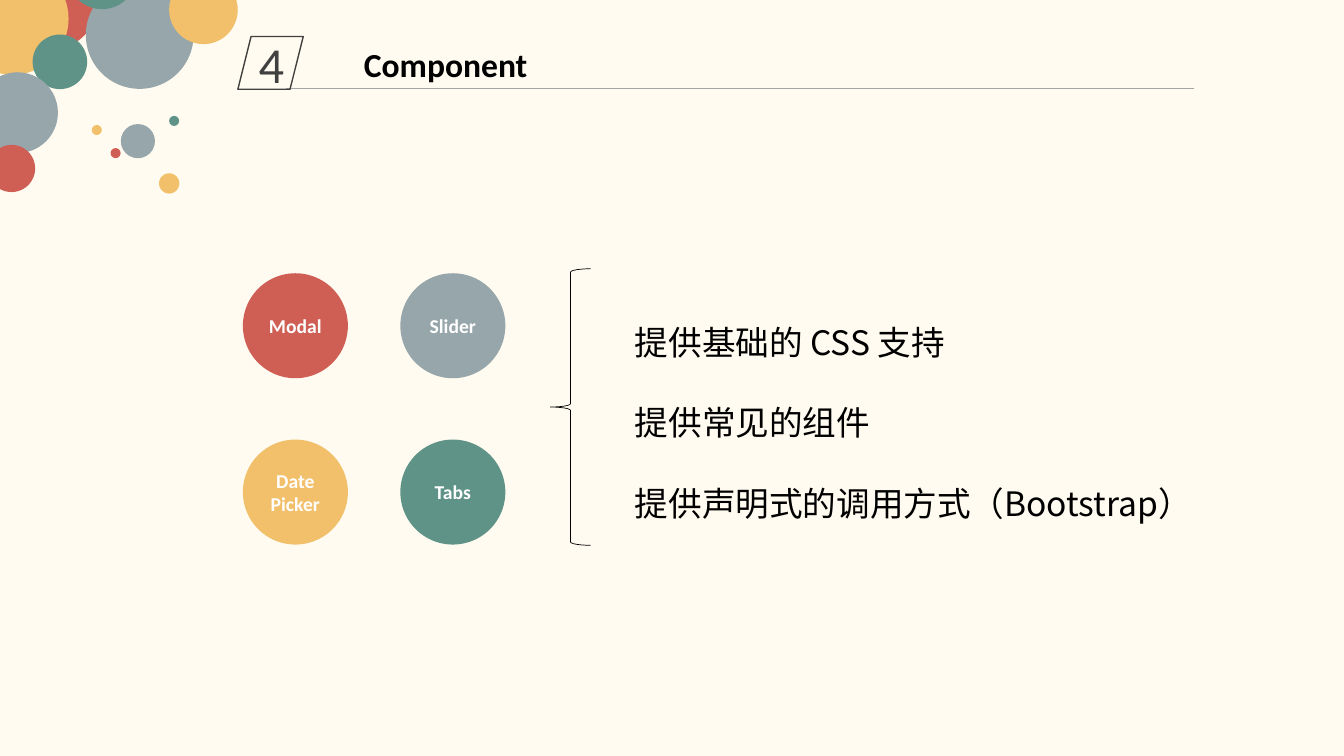
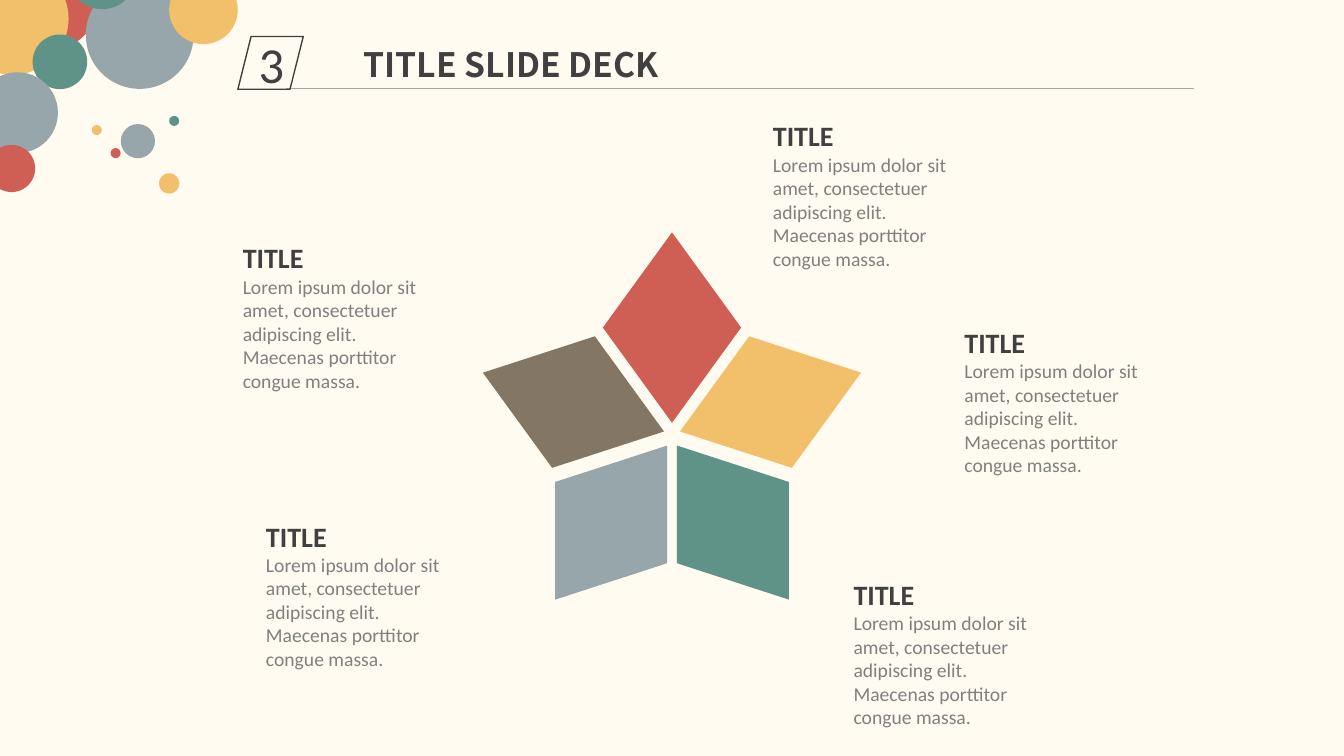
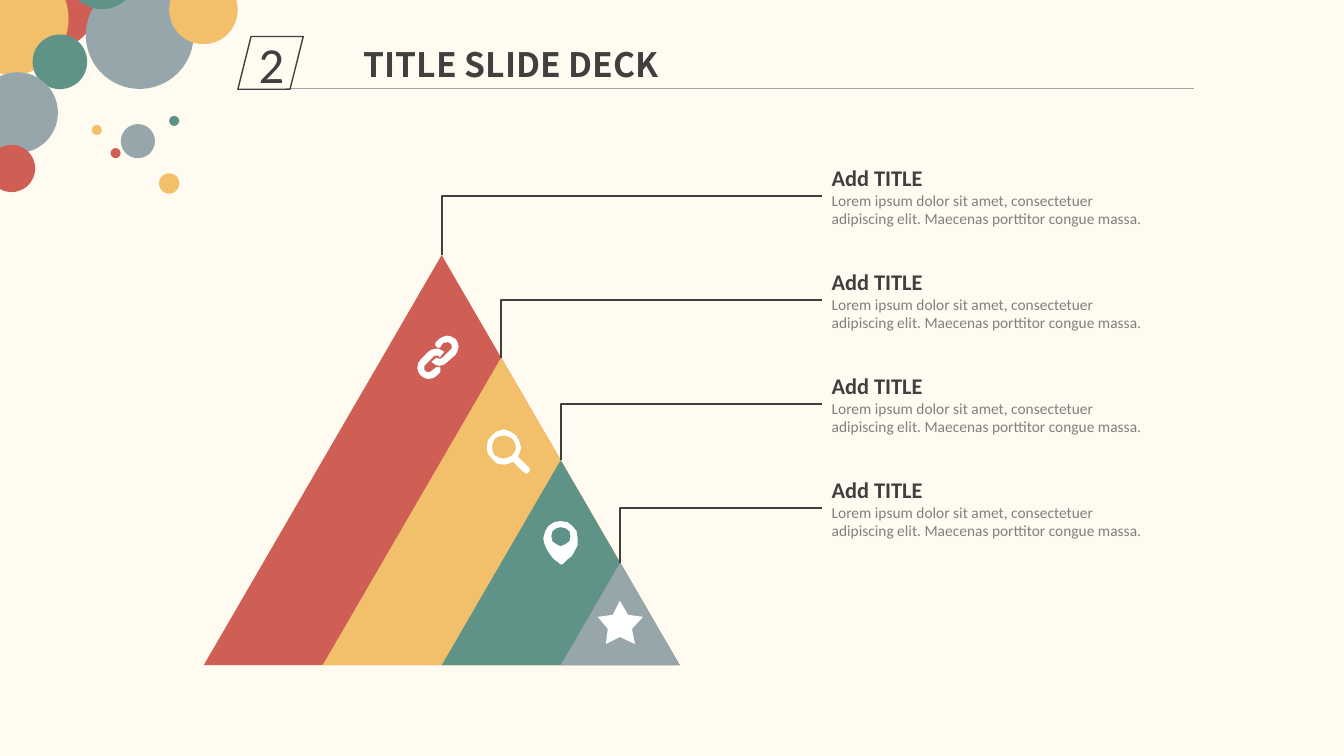
import dataclasses
import math
import typing

import lxml.etree
import pptx
import pptx.dml.color
import pptx.enum.shapes
import pptx.enum.text
import pptx.oxml.ns
import pptx.util

Pt = pptx.util.Pt
KIND = pptx.enum.shapes.MSO_SHAPE
LINK = pptx.enum.shapes.MSO_CONNECTOR
ALIGN = pptx.enum.text.PP_ALIGN
ANCHOR = pptx.enum.text.MSO_ANCHOR
FIT = pptx.enum.text.MSO_AUTO_SIZE

RED, GOLD, GREEN, GRAY, BROWN = "CF5F55", "F2C06B", "5F9387", "97A6AB", "837664"
CREAM, WHITE, BLACK, DARK, MID, PALE = "FFFBF0", "FFFFFF", "000000", "404040", "808080", "A6A6A6"
SANS, HAN = "Calibri", "Noto Sans CJK SC"
LOREM = "Lorem ipsum dolor sit amet, consectetuer adipiscing elit. Maecenas porttitor congue massa."


@dataclasses.dataclass
class Style:
    """Character format of a paragraph."""
    size: float
    color: str = DARK
    bold: bool = False
    name: str = SANS


@dataclasses.dataclass
class Spot:
    """Circle with its corner, width, colour and label lines."""
    x: float
    y: float
    wide: float
    color: str
    lines: tuple[str, ...] = ()


@dataclasses.dataclass
class Note:
    """Heading and body text in a box."""
    x: float
    y: float
    wide: float
    high: float
    head: str
    sizes: tuple[float, float]


SPOTS = (
    Spot(2.9, -31.7, 67, RED), Spot(-31, -26.6, 80, GOLD),
    Spot(23.3, 24.7, 39, GREEN), Spot(-16.4, 51.6, 57.8, GRAY),
    Spot(61.3, -13.5, 77, GRAY), Spot(48.4, -42.4, 49, GREEN),
    Spot(-8.6, 103.5, 33.7, RED), Spot(86.3, 88.6, 24.4, GRAY),
    Spot(79, 105.8, 7.2, RED), Spot(65.6, 89.3, 7.2, GOLD),
    Spot(120.8, 82.8, 7.2, GREEN), Spot(113.6, 123.8, 14.5, GOLD),
    Spot(120.8, -17.5, 49, GOLD),
)

LENS = (
    "500,432 495,433 491,435 489,439 488,444 489,448 491,452 495,454 500,455 504,454 508,452 "
    "511,448 512,444 511,439 508,435 504,433",
    "500,426 506,428 512,432 515,437 517,444 516,448 514,453 525,464 526,466 525,468 524,469 "
    "522,470 521,469 519,468 509,458 505,460 500,461 493,460 488,455 484,450 483,444 484,437 "
    "488,432 493,428",
)
CHAIN = (
    "433,346 435,346 437,347 439,348 440,349 441,349 436,355 436,354 435,353 434,353 431,353 "
    "430,354 422,362 421,363 421,367 422,368 423,369 427,369 428,368 432,365 433,364 435,364 "
    "437,365 437,369 433,373 430,375 425,376 421,375 418,373 417,372 415,369 414,365 415,360 "
    "417,357 425,349 428,347",
    "444,333 448,334 451,336 452,336 454,340 455,344 454,348 452,352 444,359 440,362 436,363 "
    "432,362 428,359 433,355 434,355 435,356 437,356 438,355 439,355 447,347 448,346 448,342 "
    "447,341 446,340 445,340 444,339 443,340 440,340 437,344 437,345 434,345 433,344 432,343 "
    "432,340 433,339 436,336 440,334",
)
PIN = (
    "556,523 552,524 548,527 547,532 548,537 552,540 556,542 561,540 565,537 566,532 565,527 "
    "561,524",
    "556,517 563,518 568,522 572,527 573,534 573,541 570,547 567,552 563,555 560,558 558,560 "
    "556,560 554,558 551,556 548,553 545,549 542,544 540,539 539,534 541,527 544,522 550,518",
)
STAR = ("615,596 623,610 638,612 627,624 630,639 615,632 601,639 603,624 593,612 608,610",)


def hue(code: str) -> pptx.dml.color.RGBColor:
    """Turn a hex string into a colour."""
    return pptx.dml.color.RGBColor.from_string(code)


def put(thing: typing.Any, form: dict[str, typing.Any]) -> None:
    """Set each attribute named in a dict."""
    for key, value in form.items():
        setattr(thing, key, value)


def paint(shape: typing.Any, fill: str = "", edge: str = "", width: float = 1) -> typing.Any:
    """Give a shape its fill and edge, without a shadow."""
    shape.shadow.inherit = False
    if fill:
        shape.fill.solid()
        shape.fill.fore_color.rgb = hue(fill)
    else:
        shape.fill.background()
    if edge:
        shape.line.color.rgb = hue(edge)
        shape.line.width = Pt(width)
    else:
        shape.line.fill.background()
    return shape


def draw(shapes: typing.Any, kind: typing.Any, x: float, y: float, wide: float, high: float,
         fill: str = "", edge: str = "", width: float = 1) -> typing.Any:
    """Add a painted preset shape."""
    return paint(shapes.add_shape(kind, Pt(x), Pt(y), Pt(wide), Pt(high)), fill, edge, width)


def write(shape: typing.Any, lines: typing.Sequence[tuple[str, Style]],
          frame: dict[str, typing.Any], para: dict[str, typing.Any]) -> None:
    """Fill a shape with one paragraph per line."""
    text = shape.text_frame
    put(text, frame)
    for at, (words, style) in enumerate(lines):
        block = text.paragraphs[0] if at == 0 else text.add_paragraph()
        put(block, para)
        run = block.add_run()
        run.text = words
        put(run.font, {"size": Pt(style.size), "bold": style.bold, "name": style.name})
        run.font.color.rgb = hue(style.color)
        east = lxml.etree.SubElement(run.font._element, pptx.oxml.ns.qn("a:ea"))
        east.set("typeface", HAN)


def label(shape: typing.Any, lines: typing.Sequence[str], style: Style) -> None:
    """Centre text inside a shape."""
    write(shape, [(line, style) for line in lines],
          {"vertical_anchor": ANCHOR.MIDDLE, "word_wrap": True}, {"alignment": ALIGN.CENTER})


def prose(slide: typing.Any, x: float, y: float, wide: float, high: float,
          lines: typing.Sequence[tuple[str, Style]], space: float = 1) -> None:
    """Add a wrapped text box."""
    box = slide.shapes.add_textbox(Pt(x), Pt(y), Pt(wide), Pt(high))
    write(box, lines, {"word_wrap": True, "auto_size": FIT.SHAPE_TO_FIT_TEXT},
          {"line_spacing": space})


def jot(slide: typing.Any, note: Note) -> None:
    """Draw a heading with its body text."""
    head, body = note.sizes
    prose(slide, note.x, note.y, note.wide, note.high,
          [(note.head, Style(head, bold=True)), (LOREM, Style(body, MID))])


def join(slide: typing.Any, kind: typing.Any, start: tuple[float, float],
         end: tuple[float, float], color: str, width: float) -> typing.Any:
    """Add a connector without a shadow."""
    line = slide.shapes.add_connector(kind, *map(Pt, start + end))
    line.line.color.rgb = hue(color)
    line.line.width = Pt(width)
    lxml.etree.SubElement(line._element.spPr, pptx.oxml.ns.qn("a:effectLst"))
    return line


def dot(shapes: typing.Any, spot: Spot) -> None:
    """Draw a circle and its label."""
    disc = draw(shapes, KIND.OVAL, spot.x, spot.y, spot.wide, spot.wide, spot.color)
    if spot.lines:
        label(disc, spot.lines, Style(14, WHITE, True))


def icon(slide: typing.Any, loops: tuple[str, ...]) -> None:
    """Draw a white outline made of closed loops."""
    rings = [[tuple(map(int, pair.split(","))) for pair in loop.split()] for loop in loops]
    pen = slide.shapes.build_freeform(*rings[0][0], scale=Pt(0.72))
    for at, ring in enumerate(rings):
        if at:
            pen.move_to(*ring[0])
        pen.add_line_segments(ring[1:], close=True)
    paint(pen.convert_to_shape(), WHITE)


def start(deck: typing.Any, mark: str, title: str, style: Style) -> typing.Any:
    """Add a slide with its title, number, rule and circles."""
    slide = deck.slides.add_slide(deck.slide_layouts[5])
    head = slide.shapes.title
    put(head, {"left": Pt(252.7), "top": Pt(27.4), "width": Pt(369.4), "height": Pt(36)})
    write(head, [(title, style)],
          {"vertical_anchor": ANCHOR.TOP, "word_wrap": True, "auto_size": FIT.NONE},
          {"alignment": ALIGN.LEFT})
    group = slide.shapes.add_group_shape()
    for spot in SPOTS:
        dot(group.shapes, spot)
    join(slide, LINK.STRAIGHT, (204.5, 63.2), (853.2, 63.2), PALE, 0.5)
    badge = draw(slide.shapes, KIND.PARALLELOGRAM, 169.9, 26.1, 46.7, 37.7, edge=DARK)
    label(badge, [mark], Style(36))
    return slide


def parts(deck: typing.Any) -> None:
    """Build the slide on components."""
    slide = start(deck, "4", "Component", Style(24, BLACK, True))
    names = ((("Modal",), RED), (("Slider",), GRAY), (("Date", "Picker"), GOLD), (("Tabs",), GREEN))
    for at, (lines, color) in enumerate(names):
        row, col = divmod(at, 2)
        dot(slide.shapes, Spot(173.5 + 112.5 * col, 195.2 + 118.8 * row, 75, color, lines))
    claims = ("提供基础的 CSS 支持", "提供常见的组件", "提供声明式的调用方式（Bootstrap）")
    prose(slide, 446.4, 197.3, 486, 181.4,
          [(claim, Style(24, BLACK, name=HAN)) for claim in claims], 2)
    draw(slide.shapes, KIND.LEFT_BRACE, 393.1, 192, 28.8, 197.5, edge=BLACK, width=0.5)


def petals(deck: typing.Any, title: str, style: Style) -> None:
    """Build the slide with five petals."""
    slide = start(deck, "3", title, style)
    wide, high = 98.8, 136
    for at, color in enumerate((RED, GOLD, GREEN, GRAY, BROWN)):
        turn = 72 * at
        x = 480 + 74 * math.sin(math.radians(turn))
        y = 311 - 77 * math.cos(math.radians(turn))
        petal = draw(slide.shapes, KIND.DIAMOND, x - wide / 2, y - high / 2, wide, high, color)
        petal.rotation = turn
    spots = ((166.3, 168.5), (182.9, 367.2), (602.6, 409), (681.8, 229), (545, 81.4))
    for x, y in spots:
        jot(slide, Note(x, y, 152.6, 116.6, "TITLE", (20, 14)))


def peak(deck: typing.Any, title: str, style: Style) -> None:
    """Build the slide with the layered triangle."""
    slide = start(deck, "2", title, style)
    right, base, side = 485.5, 475.2, 587
    for at, color in enumerate((RED, GOLD, GREEN, GRAY)):
        part = 1 - at / 4
        wide, high = 340 * part, 293 * part
        draw(slide.shapes, KIND.ISOSCELES_TRIANGLE, right - wide, base - high, wide, high, color)
        y = 140.2 + 74.3 * at
        bend = join(slide, LINK.ELBOW, (side, y), (right - wide / 2, base - high), DARK, 1.5)
        shape = bend._element.spPr.find(pptx.oxml.ns.qn("a:prstGeom"))
        shape.set("prst", "bentConnector2")
        jot(slide, Note(side, y - 26.6, 240.5, 53.3, "Add TITLE", (16, 11)))
    for loops in (CHAIN, LENS, PIN, STAR):
        icon(slide, loops)


def main() -> None:
    """Build and save the deck."""
    deck = pptx.Presentation()
    put(deck, {"slide_width": Pt(960), "slide_height": Pt(540)})
    back = deck.slide_master.background.fill
    back.solid()
    back.fore_color.rgb = hue(CREAM)
    title, style = "TITLE SLIDE DECK", Style(24, bold=True, name=HAN)
    parts(deck)
    petals(deck, title, style)
    peak(deck, title, style)
    deck.save("out.pptx")


if __name__ == "__main__":
    main()
